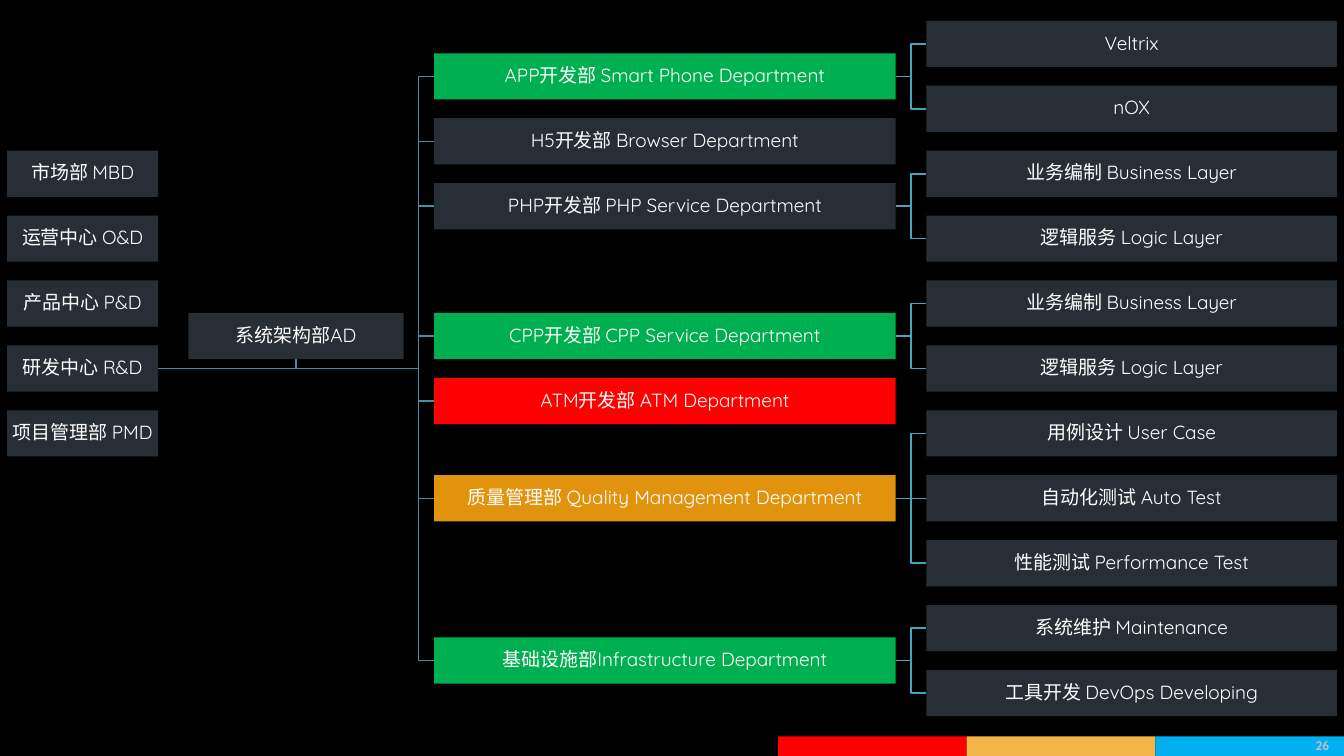
import pptx
import pptx.dml.color
import pptx.enum.shapes
import pptx.enum.text
import pptx.oxml.ns
import pptx.util
from lxml import etree

Cm = pptx.util.Cm
ANCHOR = pptx.enum.text.MSO_ANCHOR
ALIGN = pptx.enum.text.PP_ALIGN

SLIDE_W, SLIDE_H = 47.42, 26.67
FIRST_ROW, ROW_PITCH, BOX_H = 1.55, 2.29, 1.63
SLATE, GREEN, RED, AMBER = "282E35", "00B050", "FF0000", "E1930E"
TRUNK_LINE, BRANCH_LINE = "3D91A9", "45A4BF"

# Columns: left edge and width
CENTERS, ARCHITECTURE = (0.25, 5.33), (6.65, 7.59)
DEPARTMENTS, TEAMS = (15.32, 16.28), (32.69, 14.48)

CENTER_NAMES = ["市场部 MBD", "运营中心 O&D", "产品中心 P&D", "研发中心 R&D", "项目管理部 PMD"]
FIRST_CENTER_ROW, RND_ROW, ARCHITECTURE_ROW = 2, 5, 4.5

# Department: row, name, fill, teams as {row: name}
DEPARTMENT_ROWS = [
    (0.5, "APP开发部 Smart Phone Department", GREEN, {0: "Veltrix", 1: "nOX"}),
    (1.5, "H5开发部 Browser Department", SLATE, {}),
    (2.5, "PHP开发部 PHP Service Department", SLATE,
     {2: "业务编制 Business Layer", 3: "逻辑服务 Logic Layer"}),
    (4.5, "CPP开发部 CPP Service Department", GREEN,
     {4: "业务编制 Business Layer", 5: "逻辑服务 Logic Layer"}),
    (5.5, "ATM开发部 ATM Department", RED, {}),
    (7, "质量管理部 Quality Management Department", AMBER,
     {6: "用例设计 User Case", 7: "自动化测试 Auto Test", 8: "性能测试 Performance Test"}),
    (9.5, "基础设施部Infrastructure Department", GREEN,
     {9: "系统维护 Maintenance", 10: "工具开发 DevOps Developing"}),
]


def color(hex_string):
    return pptx.dml.color.RGBColor.from_string(hex_string)


def apply(target, values):
    for name, value in values.items():
        setattr(target, name, value)


def row_y(row):
    return FIRST_ROW + ROW_PITCH * row


def right(column):
    return column[0] + column[1]


def write(shape, text, margin, align, **font):
    frame = shape.text_frame
    sides = ("left", "top", "right", "bottom")
    apply(frame, {f"margin_{side}": Cm(margin) for side in sides})
    apply(frame, {"word_wrap": True, "vertical_anchor": ANCHOR.MIDDLE})
    paragraph = frame.paragraphs[0]
    apply(paragraph, {"text": text, "alignment": align, "line_spacing": 0.9})
    font_color = font.pop("hex_color")
    apply(paragraph.font, {"name": "Quicksand", **font})
    paragraph.font.color.rgb = color(font_color)


def block(slide, left, top, width, height, fill):
    shape = slide.shapes.add_shape(pptx.enum.shapes.MSO_SHAPE.RECTANGLE,
                                   Cm(left), Cm(top), Cm(width), Cm(height))
    shape.shadow.inherit = False
    shape.fill.solid()
    shape.fill.fore_color.rgb = color(fill)
    shape.line.fill.background()
    return shape


def unit(slide, column, row, name, fill=SLATE):
    left, width = column
    shape = block(slide, left, row_y(row) - BOX_H / 2, width, BOX_H, fill)
    write(shape, name, 0.03, ALIGN.CENTER, size=pptx.util.Pt(19), hex_color="FFFFFF")


def link(slide, points, line_color):
    """Straight connector for a level link, open outline for a bent one."""
    points = [(Cm(x), Cm(y)) for x, y in points]
    if len({y for _, y in points}) == 1:
        shape = slide.shapes.add_connector(pptx.enum.shapes.MSO_CONNECTOR.STRAIGHT,
                                           *points[0], *points[-1])
        etree.SubElement(shape._element.spPr, pptx.oxml.ns.qn("a:effectLst"))
    else:
        outline = slide.shapes.build_freeform(*points[0])
        outline.add_line_segments(points[1:], close=False)
        shape = outline.convert_to_shape()
        shape.shadow.inherit = False
        shape.fill.background()
    shape.line.color.rgb = color(line_color)
    shape.line.width = pptx.util.Pt(1.5)


def elbow(slide, source, source_row, target, target_row, line_color):
    start, end = right(source), target[0]
    turn = end - (TEAMS[0] - right(DEPARTMENTS)) / 2
    y1, y2 = row_y(source_row), row_y(target_row)
    link(slide, [(start, y1), (turn, y1), (turn, y2), (end, y2)], line_color)


def links(slide):
    middle = ARCHITECTURE[0] + ARCHITECTURE[1] / 2
    rnd_y = row_y(RND_ROW)
    link(slide, [(right(CENTERS), rnd_y), (middle, rnd_y),
                 (middle, row_y(ARCHITECTURE_ROW) + BOX_H / 2)], TRUNK_LINE)
    for row, _, _, teams in DEPARTMENT_ROWS:
        elbow(slide, CENTERS, RND_ROW, DEPARTMENTS, row, TRUNK_LINE)
        for team_row in teams:
            elbow(slide, DEPARTMENTS, row, TEAMS, team_row, BRANCH_LINE)


def units(slide):
    for row, name in enumerate(CENTER_NAMES, FIRST_CENTER_ROW):
        unit(slide, CENTERS, row, name)
    unit(slide, ARCHITECTURE, ARCHITECTURE_ROW, "系统架构部AD")
    for row, name, fill, teams in DEPARTMENT_ROWS:
        unit(slide, DEPARTMENTS, row, name, fill)
        for team_row, team in teams.items():
            unit(slide, TEAMS, team_row, team)


def footer(slide, left, top, width, height):
    stripes = [RED, "F4B54B", "00B0F0"]
    stripe_w = width / len(stripes)
    for index, fill in enumerate(stripes):
        block(slide, left + index * stripe_w, top, stripe_w, height, fill)
    # Page number, inset from the right edge
    number = slide.shapes.add_textbox(Cm(left + width - 2.4), Cm(top), Cm(2.13), Cm(height))
    write(number, "26", 0, ALIGN.RIGHT, size=pptx.util.Pt(12.6), bold=True, hex_color="BFBFBF")
    number.text_frame.margin_right = Cm(0.25)


def main():
    deck = pptx.Presentation()
    apply(deck, {"slide_width": Cm(SLIDE_W), "slide_height": Cm(SLIDE_H)})
    slide = deck.slides.add_slide(deck.slide_layouts[6])
    slide.background.fill.solid()
    slide.background.fill.fore_color.rgb = color("000000")
    footer(slide, 27.45, 25.98, 19.97, 0.69)
    links(slide)
    units(slide)
    deck.save("out.pptx")


if __name__ == "__main__":
    main()
